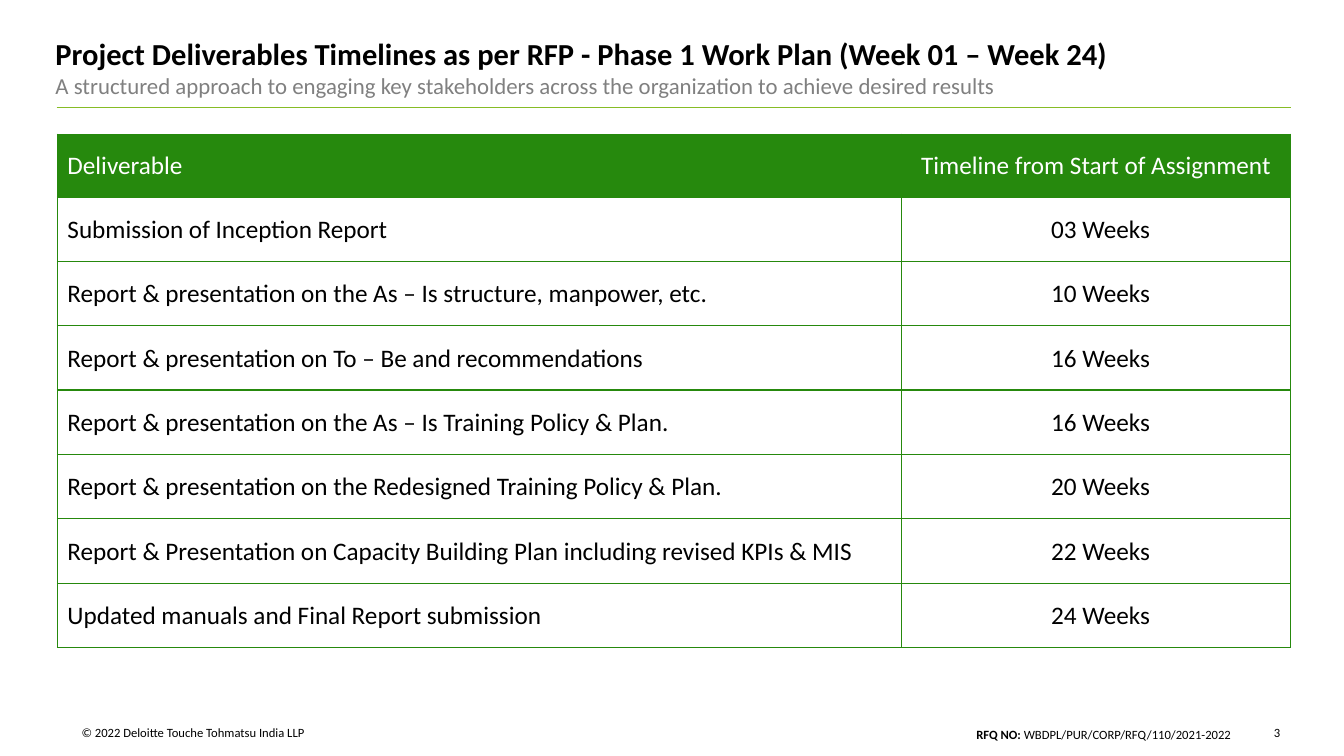
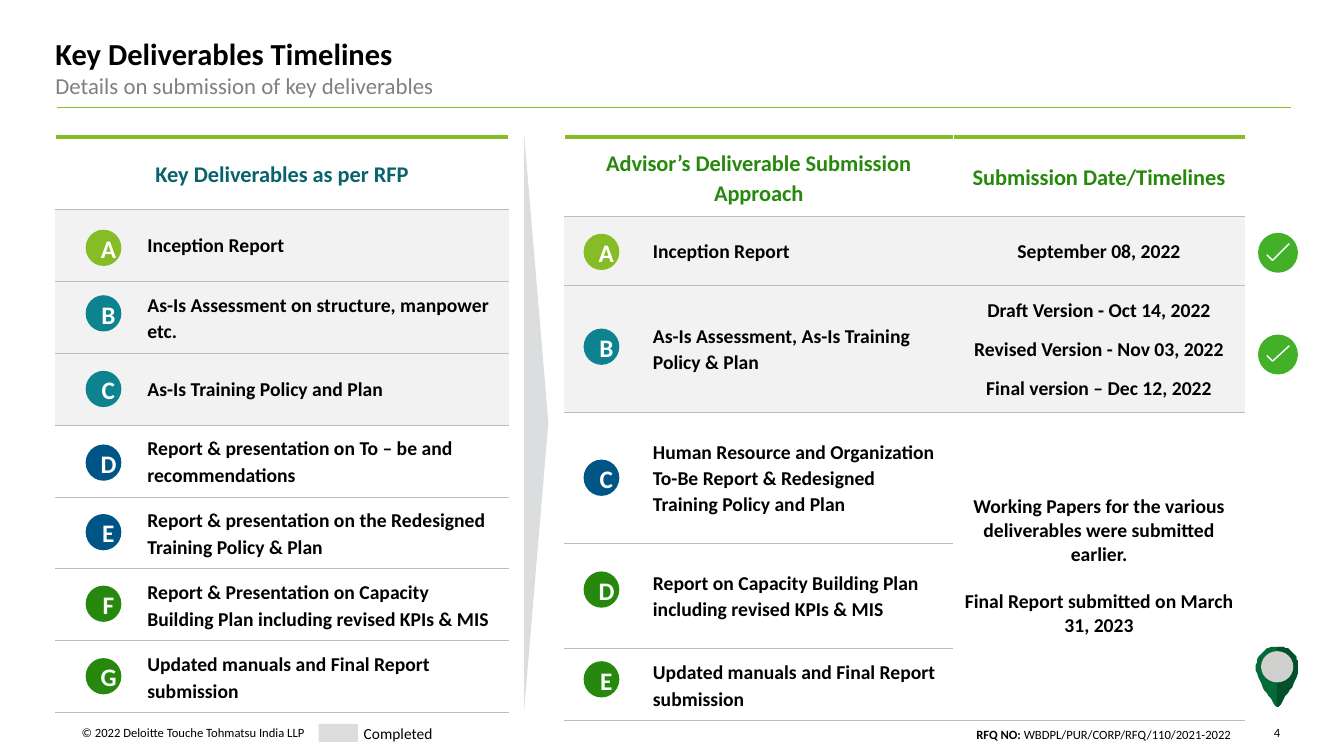
from lxml.etree import SubElement
from pptx import Presentation
from pptx.dml.color import RGBColor
from pptx.enum.shapes import MSO_CONNECTOR, MSO_SHAPE
from pptx.enum.text import MSO_ANCHOR, MSO_AUTO_SIZE, PP_ALIGN
from pptx.oxml.ns import qn
from pptx.util import Pt

# Shared look
FONT = "Calibri"
BLACK, WHITE, GREY = "000000", "FFFFFF", "808080"
LIME, GREEN, TEAL, BLUE = "86BC25", "26890D", "0D8390", "005587"
RULE_GREY, SHADE, SILVER = "BBBCBC", "F2F2F2", "DCDDDF"
CENTER = {"alignment": PP_ALIGN.CENTER}
NO_INSETS = (0, 0, 0, 0)
CELL_INSETS = (7.2, 7.2, 7.2, 7.2)
BOX_INSETS = (7.2, 3.6, 7.2, 3.6)


def colour(hex_text):
    return RGBColor.from_string(hex_text)


def set_all(target, values):
    for name, value in values.items():
        setattr(target, name, value)


def points(*lengths):
    return [Pt(length) for length in lengths]


# Text
def set_insets(holder, insets):
    for side, inset in zip(("left", "top", "right", "bottom"), insets):
        setattr(holder, f"margin_{side}", Pt(inset))


def write(frame, lines, size, hex_text=BLACK, bold=False, layout=None, gap=0):
    """Each line is a string, or a list of (text, bold) runs; gap parts the lines."""
    for index, line in enumerate(lines):
        paragraph = frame.paragraphs[0] if index == 0 else frame.add_paragraph()
        set_all(paragraph, {"space_before": Pt(gap if index else 0), **(layout or {})})
        for text, is_bold in [(line, bold)] if isinstance(line, str) else line:
            run = paragraph.add_run()
            run.text = text
            set_all(run.font, {"name": FONT, "size": Pt(size), "bold": is_bold})
            run.font.color.rgb = colour(hex_text)


def add_label(slide, box, lines, size, insets=NO_INSETS, wrap=True, **style):
    frame = slide.shapes.add_textbox(*points(*box)).text_frame
    frame.word_wrap = wrap
    set_insets(frame, insets)
    write(frame, lines, size, **style)


# Shapes
def paint(shape, hex_text):
    shape.shadow.inherit = False
    shape.fill.solid()
    shape.fill.fore_color.rgb = colour(hex_text)
    shape.line.fill.background()
    return shape


def add_block(slide, kind, box, hex_text):
    return paint(slide.shapes.add_shape(kind, *points(*box)), hex_text)


def add_outline(slide, vertices, close=True):
    builder = slide.shapes.build_freeform(*vertices[0], scale=Pt(1))
    builder.add_line_segments(vertices[1:], close=close)
    return builder.convert_to_shape()


def add_badges(slide, left, badges):
    for letter, hex_text, top in badges:
        badge = add_block(slide, MSO_SHAPE.OVAL, (left, top, 25.5, 25.9), hex_text)
        frame = badge.text_frame
        frame.vertical_anchor = MSO_ANCHOR.MIDDLE
        set_insets(frame, (7, 1, 0, 0))
        write(frame, [letter], 18, WHITE, True, CENTER)


def add_tick(slide, left, top):
    add_block(slide, MSO_SHAPE.OVAL, (left, top, 28.5, 28.5), "43B02A")
    steps = [(6.5, 15.5), (10.5, 19.5), (22, 8)]
    tick = add_outline(slide, [(left + x, top + y) for x, y in steps], close=False)
    tick.shadow.inherit = False
    tick.fill.background()
    tick.line.color.rgb = colour(WHITE)
    tick.line.width = Pt(1)


def bezier(start, first, second, end, steps=16):
    curve = []
    for step in range(steps + 1):
        t = step / steps
        weights = ((1 - t) ** 3, 3 * t * (1 - t) ** 2, 3 * t * t * (1 - t), t ** 3)
        curve.append(tuple(sum(weight * point[axis] for weight, point
                               in zip(weights, (start, first, second, end)))
                           for axis in (0, 1)))
    return curve


def add_pin(slide, left, top, width, height):
    right_side = (bezier((0.5, 0), (0.78, 0), (1, 0.15), (1, 0.34))
                  + bezier((1, 0.34), (1, 0.61), (0.5, 1), (0.5, 1))[1:])
    left_side = [(1 - x, y) for x, y in reversed(right_side)]
    for side, hex_text in ((right_side + left_side[1:-1], "046A38"), (right_side, "03502A")):
        vertices = [(left + x * width, top + y * height) for x, y in side]
        paint(add_outline(slide, vertices), hex_text)
    add_block(slide, MSO_SHAPE.OVAL, (left + 3.6, top + 3.6, width - 7.2, 22.3), "D0D0CE")


# Tables
def format_cell(cell, borders, fill, insets=CELL_INSETS):
    """Borders map the sides L, R, T and B to (colour, width)."""
    properties = cell._tc.get_or_add_tcPr()
    for side in "LRTB":
        hex_text, width = borders.get(side, (None, 0))
        line = SubElement(properties, qn(f"a:ln{side}"), w=str(int(Pt(width))))
        if hex_text:
            solid = SubElement(line, qn("a:solidFill"))
            SubElement(solid, qn("a:srgbClr"), val=hex_text)
        else:
            SubElement(line, qn("a:noFill"))
    if fill:
        cell.fill.solid()
        cell.fill.fore_color.rgb = colour(fill)
    else:
        cell.fill.background()
    cell.vertical_anchor = MSO_ANCHOR.MIDDLE
    set_insets(cell, insets)


def add_grid(slide, left, top, widths, heights):
    box = points(left, top, sum(widths), sum(heights))
    table = slide.shapes.add_table(len(heights), len(widths), *box).table
    set_all(table, {"first_row": False, "horz_banding": False})
    for column, width in zip(table.columns, widths):
        column.width = Pt(width)
    for row, height in zip(table.rows, heights):
        row.height = Pt(height)
    return table


def add_timeline_table(slide, left, top, header, rows):
    table = add_grid(slide, left, top, (603.2, 277.4), [44.9] + [46] * len(rows))
    borders = {side: (GREEN, 1) for side in "LRTB"}
    for row_index, row in enumerate([header] + rows):
        is_header = row_index == 0
        for column_index, text in enumerate(row):
            cell = table.cell(row_index, column_index)
            format_cell(cell, borders, GREEN if is_header else WHITE,
                        BOX_INSETS if is_header else (7.2, 0.7, 0.7, 0))
            write(cell.text_frame, [text], 18, WHITE if is_header else BLACK,
                  layout=CENTER if column_index else None)


def add_deliverables_table(slide, left, top, widths, heights, header, rows, shaded, header_hex):
    """Column 0 is kept free for badges; each row lists the lines of the other cells."""
    table = add_grid(slide, left, top, widths, heights)
    body_borders = {side: (RULE_GREY, 0.5) for side in "TB"}
    header_borders = {"L": (WHITE, 0.5), "R": (WHITE, 0.5),
                      "T": (LIME, 3), "B": (RULE_GREY, 0.5)}
    for row_index in range(len(heights)):
        for column_index in range(len(widths)):
            if row_index == 0:
                borders, fill = header_borders, WHITE
            else:
                borders, fill = body_borders, SHADE if row_index <= shaded else None
            format_cell(table.cell(row_index, column_index), borders, fill)
    table.cell(0, 0).merge(table.cell(0, 1))
    for column_index, text in zip((0, 2), header):
        write(table.cell(0, column_index).text_frame, [text], 16, header_hex, True,
              {**CENTER, "line_spacing": 1.1})
    for row_index, row in enumerate(rows, 1):
        for column_index, lines in enumerate(row, 1):
            layout = {"line_spacing": 1.1, **(CENTER if column_index == 2 else {})}
            write(table.cell(row_index, column_index).text_frame, lines, 14,
                  bold=True, layout=layout, gap=9)
    return table


# Frame of every slide: heading, rule and footer
def fill_placeholder(shape, box, text, size, hex_text, bold, alignment):
    set_all(shape, dict(zip(("left", "top", "width", "height"), points(*box))))
    frame = shape.text_frame
    set_all(frame, {"vertical_anchor": MSO_ANCHOR.TOP, "word_wrap": True,
                    "auto_size": MSO_AUTO_SIZE.NONE})
    set_insets(frame, NO_INSETS)
    properties = frame.paragraphs[0]._p.get_or_add_pPr()
    set_all_xml = {"marL": "0", "indent": "0"}
    for name, value in set_all_xml.items():
        properties.set(name, value)
    SubElement(properties, qn("a:buNone"))
    write(frame, [text], size, hex_text, bold, {"alignment": alignment})


def add_framed_slide(presentation, number, title, subtitle):
    slide = presentation.slides.add_slide(presentation.slide_layouts[1])
    fill_placeholder(slide.shapes.title, (39.6, 25.2, 881.3, 26.6), title,
                     21.8, BLACK, True, PP_ALIGN.LEFT)
    fill_placeholder(slide.placeholders[1], (39.6, 51.1, 881.3, 59.8), subtitle,
                     16.3, GREY, False, PP_ALIGN.JUSTIFY)
    rule = slide.shapes.add_connector(MSO_CONNECTOR.STRAIGHT, *points(40.5, 77, 922.3, 77))
    rule.line.color.rgb = colour(LIME)
    rule.line.width = Pt(1)
    SubElement(rule._element.spPr, qn("a:effectLst"))
    add_label(slide, (58.3, 517.7, 421.9, 10.8), ["© 2022 Deloitte Touche Tohmatsu India LLP"], 9)
    add_label(slide, (910, 517.7, 10.8, 10.8), [str(number)], 9, wrap=False)
    reference = [("RFQ NO: ", True), ("WBDPL/PUR/CORP/RFQ/110/2021-2022", False)]
    add_label(slide, (406, 514, 480.2, 18.7), [reference], 9, BOX_INSETS,
              layout={"alignment": PP_ALIGN.RIGHT, "line_spacing": 1.14})
    return slide


# Slide types
def build_work_plan(presentation):
    slide = add_framed_slide(
        presentation, 3,
        "Project Deliverables Timelines as per RFP - Phase 1 Work Plan (Week 01 – Week 24)",
        "A structured approach to engaging key stakeholders across the organization "
        "to achieve desired results")
    add_timeline_table(slide, 41, 95.8, ("Deliverable", "Timeline from Start of Assignment"), [
        ("Submission of Inception Report", "03 Weeks"),
        ("Report & presentation on the As – Is structure, manpower, etc.", "10 Weeks"),
        ("Report & presentation on To – Be and recommendations", "16 Weeks"),
        ("Report & presentation on the As – Is Training Policy & Plan.", "16 Weeks"),
        ("Report & presentation on the Redesigned Training Policy & Plan.", "20 Weeks"),
        ("Report & Presentation on Capacity Building Plan including revised KPIs & MIS",
         "22 Weeks"),
        ("Updated manuals and Final Report submission", "24 Weeks")])


def add_requested_panel(slide, left, top):
    items = ["Inception Report", "As-Is Assessment on structure, manpower etc.",
             "As-Is Training Policy and Plan",
             "Report & presentation on To – be and recommendations",
             "Report & presentation on the Redesigned Training Policy & Plan",
             "Report & Presentation on Capacity Building Plan including revised KPIs & MIS",
             "Updated manuals and Final Report submission"]
    add_deliverables_table(slide, left, top, (58.5, 265.3), [51.4] * 8,
                           ["Key Deliverables as per RFP"], [[[item]] for item in items],
                           3, "0A626C")
    offsets = (66.2, 113, 167, 219.6, 269.3, 320.4, 372.2)
    fills = (LIME, TEAL, TEAL, BLUE, BLUE, GREEN, GREEN)
    add_badges(slide, left + 21.6,
               [(letter, fill, top + offset)
                for letter, fill, offset in zip("ABCDEFG", fills, offsets)])


def add_approach_panel(slide, left, top):
    rows = [
        (["Inception Report"], ["September 08, 2022"]),
        (["As-Is Assessment, As-Is Training Policy & Plan"],
         ["Draft Version - Oct 14, 2022", "Revised Version - Nov 03, 2022",
          "Final version – Dec 12, 2022"]),
        (["Human Resource and Organization To-Be Report & Redesigned Training Policy and Plan"],),
        (["Report on Capacity Building Plan including revised KPIs & MIS"],),
        (["Updated manuals and Final Report submission"],)]
    table = add_deliverables_table(
        slide, left, top, (56, 221.6, 208.6), (51.1, 49, 90.7, 93.6, 75.6, 49.7),
        ["Advisor’s Deliverable Submission Approach", "Submission Date/Timelines"],
        rows, 2, GREEN)
    final_note = table.cell(3, 2)
    final_note.merge(table.cell(5, 2))
    write(final_note.text_frame,
          ["Working Papers for the various deliverables were submitted earlier.",
           "Final Report submitted on March 31, 2023"], 14, bold=True, layout=CENTER, gap=17)
    offsets = (69.1, 136.8, 230.4, 310.3, 374.4)
    add_badges(slide, left + 13.7,
               [(letter, fill, top + offset) for letter, fill, offset
                in zip("ABCDE", (LIME, TEAL, BLUE, GREEN, GREEN), offsets)])
    # Status marks beside the dates
    for offset in (68.4, 141.1):
        add_tick(slide, left + 495.4, top + offset)
    add_pin(slide, left + 494, top + 363.6, 30.2, 43.9)


def add_flow_arrow(slide, left, top, width, height):
    box = (left + (width - height) / 2, top + (height - width) / 2, height, width)
    add_block(slide, MSO_SHAPE.ISOSCELES_TRIANGLE, box, SILVER).rotation = 90


def add_legend(slide, left, top):
    add_block(slide, MSO_SHAPE.RECTANGLE, (left, top, 28.1, 13), SILVER)
    add_label(slide, (left + 25.2, top - 3.6, 78.5, 20.9), ["Completed"], 11, BOX_INSETS)


def build_deliverables(presentation):
    slide = add_framed_slide(presentation, 4, "Key Deliverables Timelines",
                             "Details on submission of key deliverables")
    add_requested_panel(slide, 39.6, 97.9)
    add_approach_panel(slide, 403.2, 97.9)
    add_flow_arrow(slide, 374.4, 96.5, 17.3, 410.4)
    add_legend(slide, 227.5, 517)


def main():
    presentation = Presentation()
    set_all(presentation, {"slide_width": Pt(960), "slide_height": Pt(540)})
    build_work_plan(presentation)
    build_deliverables(presentation)
    presentation.save("out.pptx")


if __name__ == "__main__":
    main()
